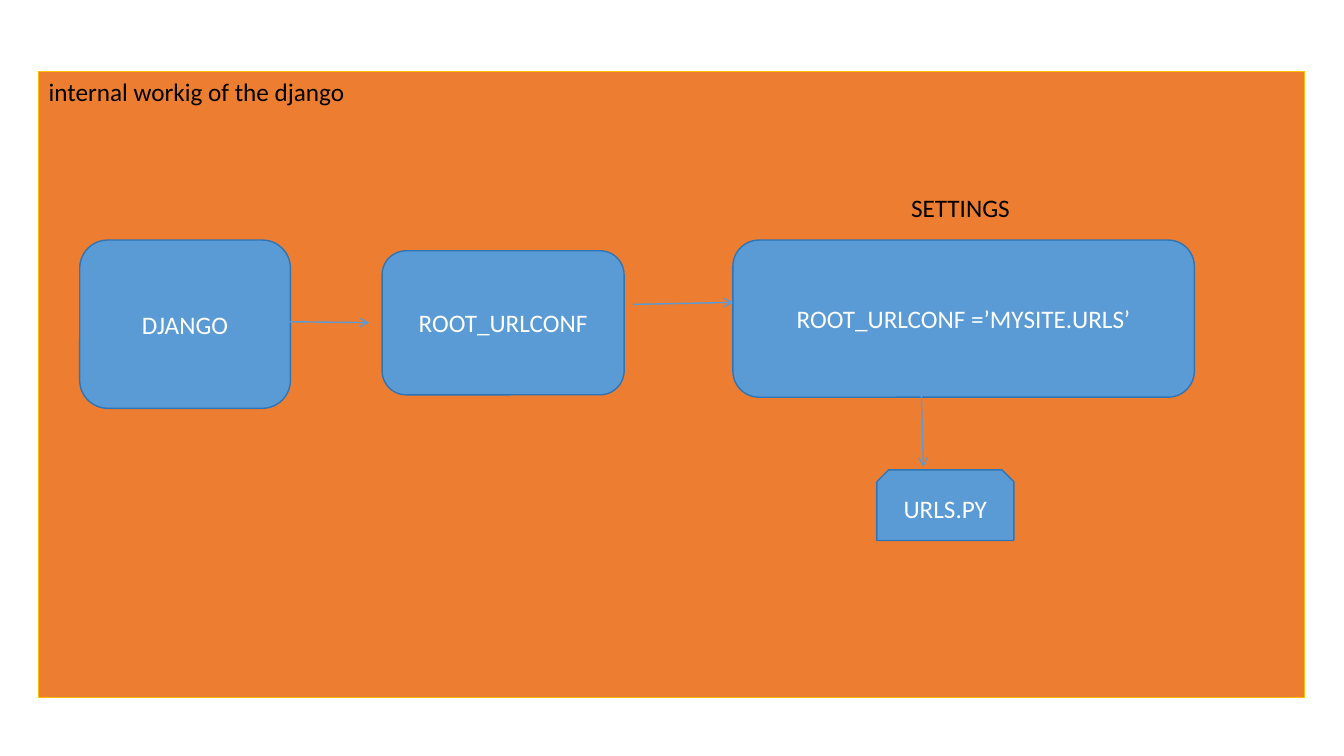
from lxml import etree
from pptx import Presentation
from pptx import util as u
from pptx.dml.color import RGBColor
from pptx.enum import shapes, text
from pptx.oxml.ns import qn

BLUE, DARK_BLUE, ORANGE, GOLD = "5B9BD5", "2E75B6", "ED7D31", "FFC000"
BLACK, WHITE = "000000", "FFFFFF"


def paint(shape, fill, line, width):
    shape.shadow.inherit = False
    shape.fill.solid()
    shape.fill.fore_color.rgb = RGBColor.from_string(fill)
    shape.line.color.rgb = RGBColor.from_string(line)
    shape.line.width = u.Pt(width)


def write(shape, words, color, align, anchor):
    frame = shape.text_frame
    frame.word_wrap = True
    frame.auto_size = text.MSO_AUTO_SIZE.NONE
    frame.vertical_anchor = anchor
    para = frame.paragraphs[0]
    para.alignment = align
    span = para.add_run()
    span.text = words
    for name, value in {"name": "Calibri", "size": u.Pt(18)}.items():
        setattr(span.font, name, value)
    span.font.color.rgb = RGBColor.from_string(color)


deck = Presentation()
deck.slide_width, deck.slide_height = u.Cm(33.87), u.Cm(19.05)
page = deck.slides.add_slide(deck.slide_layouts[5])

# Title panel behind the diagram
panel = page.shapes.title
place = {"left": 0.97, "top": 1.8, "width": 31.9, "height": 15.77}
for side, length in place.items():
    setattr(panel, side, u.Cm(length))
paint(panel, ORANGE, GOLD, 0.75)
write(panel, "internal workig of the django", BLACK,
      text.PP_ALIGN.LEFT, text.MSO_ANCHOR.TOP)

# Steps: wording, outline, left, top, width, height
ROUNDED = shapes.MSO_SHAPE.ROUNDED_RECTANGLE
SNIPPED = shapes.MSO_SHAPE.SNIP_2_SAME_RECTANGLE
steps = [
    ("DJANGO", ROUNDED, 2.01, 6.05, 5.31, 4.24),
    ("ROOT_URLCONF", ROUNDED, 9.63, 6.32, 6.1, 3.63),
    ("ROOT_URLCONF =’MYSITE.URLS’", ROUNDED, 18.47, 6.05, 11.63, 3.96),
    ("URLS.PY", SNIPPED, 22.1, 11.84, 3.45, 1.78),
]
for words, outline, *lengths in steps:
    box = page.shapes.add_shape(outline, *map(u.Cm, lengths))
    paint(box, BLUE, DARK_BLUE, 1)
    write(box, words, WHITE, text.PP_ALIGN.CENTER, text.MSO_ANCHOR.MIDDLE)

label = page.shapes.add_textbox(u.Cm(22.71), u.Cm(4.72), u.Cm(6.27), u.Cm(1.02))
write(label, "SETTINGS", BLACK, text.PP_ALIGN.LEFT, text.MSO_ANCHOR.TOP)

# Arrows: start x, start y, end x, end y
arrows = [
    (6.6, 8.1, 9.3, 8.13),
    (15.95, 7.67, 18.47, 7.62),
    (23.22, 9.98, 23.27, 11.76),
]
for ends in arrows:
    arrow = page.shapes.add_connector(
        shapes.MSO_CONNECTOR.STRAIGHT, *map(u.Cm, ends))
    arrow.line.color.rgb = RGBColor.from_string(BLUE)
    arrow.line.width = u.Pt(1)
    etree.SubElement(arrow.line._get_or_add_ln(), qn("a:tailEnd"), type="arrow")
    etree.SubElement(arrow._element.spPr, qn("a:effectLst"))

deck.save("out.pptx")
